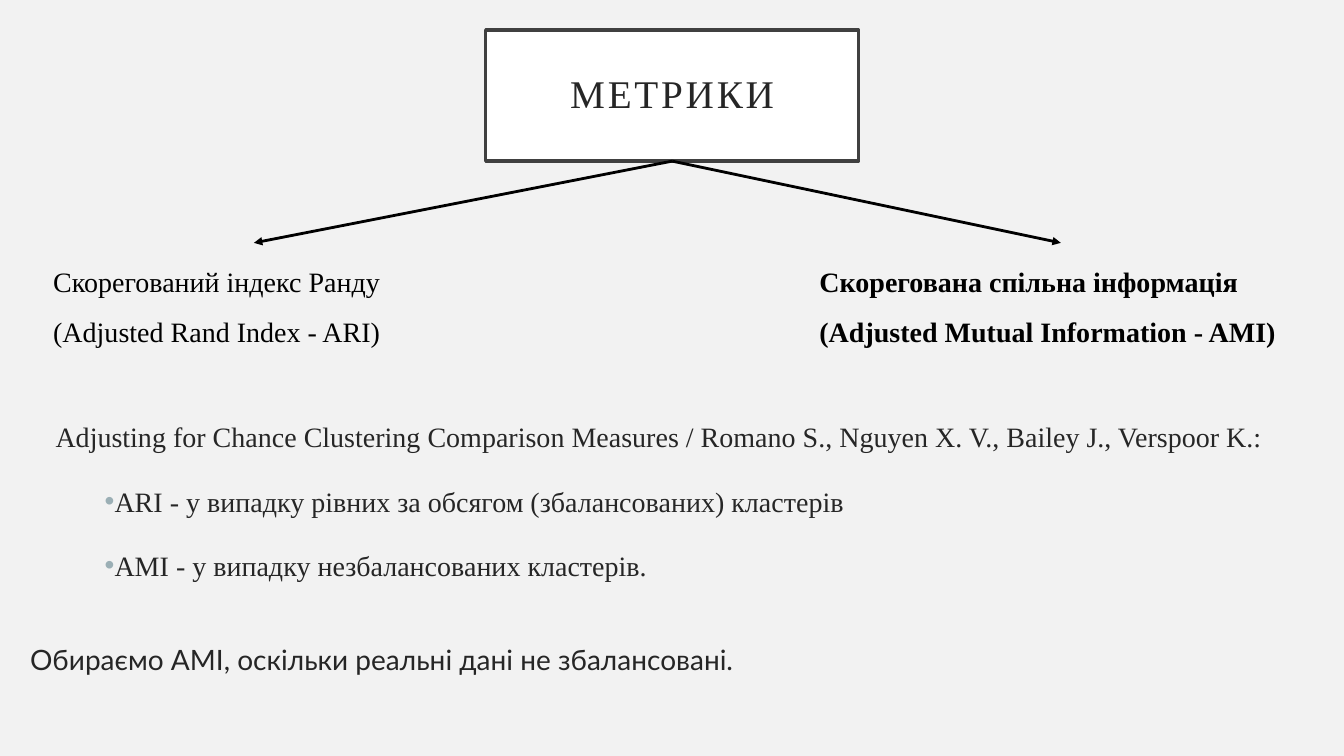
from dataclasses import dataclass

from lxml import etree
from pptx import Presentation
from pptx import util as u
from pptx.dml.color import RGBColor
from pptx.enum import shapes, text
from pptx.oxml.ns import qn


@dataclass(frozen=True)
class Theme:
    background = RGBColor.from_string("F2F2F2")
    panel = RGBColor.from_string("FFFFFF")
    border = RGBColor.from_string("404040")
    ink = RGBColor.from_string("262626")
    black = RGBColor.from_string("000000")
    bullet = "9BAFB5"
    serif = "Times New Roman"
    sans = "Lato"
    title_size = u.Pt(28)
    body_size = u.Pt(20)


theme = Theme()


def style(paragraph, color, size=theme.body_size, face=theme.serif, bold=False):
    """Set the font of a whole paragraph."""
    font = paragraph.font
    font.name, font.size, font.bold = face, size, bold
    font.color.rgb = color


def add_text_area(left, top, width, height):
    frame_shape = slide.shapes.add_textbox(u.Cm(left), u.Cm(top), u.Cm(width), u.Cm(height))
    frame_shape.text_frame.word_wrap = True
    return frame_shape


deck = Presentation()
deck.slide_width, deck.slide_height = u.Cm(33.87), u.Cm(19.05)
slide = deck.slides.add_slide(deck.slide_layouts[6])
slide.background.fill.solid()
slide.background.fill.fore_color.rgb = theme.background

# Title
title = slide.shapes.add_shape(
    shapes.MSO_SHAPE.RECTANGLE, u.Cm(12.24), u.Cm(0.76), u.Cm(9.4), u.Cm(3.3))
title.shadow.inherit = False
title.fill.solid()
title.fill.fore_color.rgb = theme.panel
title.line.color.rgb = theme.border
title.line.width = u.Pt(2.5)
title_frame = title.text_frame
title_frame.word_wrap = True
title_frame.vertical_anchor = text.MSO_ANCHOR.MIDDLE
title_frame.margin_left = title_frame.margin_right = u.Cm(0.51)
title_frame.margin_top = title_frame.margin_bottom = u.Cm(0.51)
heading = title_frame.paragraphs[0]
heading.alignment = text.PP_ALIGN.CENTER
heading.line_spacing = 0.9
style(heading, theme.ink, theme.title_size)
heading_run = heading.add_run()
heading_run.text = "МЕТРИКИ"
heading_run.font._element.set("spc", "200")

# Conclusions: text, first-line indent, space before, bulleted
conclusions = add_text_area(0.51, 10.03, 32.87, 7.62)
statements = [
    ("Adjusting for Chance Clustering Comparison Measures / "
     "Romano S., Nguyen X. V., Bailey J., Verspoor K.:", False),
    ("ARI - у випадку рівних за обсягом (збалансованих) кластерів", True),
    ("AMI - у випадку незбалансованих кластерів.", True),
]
body_frame = conclusions.text_frame
for index, (statement, bulleted) in enumerate(statements):
    paragraph = body_frame.add_paragraph() if index else body_frame.paragraphs[0]
    paragraph.text = statement
    paragraph.alignment = text.PP_ALIGN.JUSTIFY
    paragraph.line_spacing = 1.5
    paragraph.space_before = u.Pt(10)
    style(paragraph, theme.ink)
    properties = paragraph._p.get_or_add_pPr()
    properties.set("marL", str(u.Cm(0.64)))
    properties.set("indent", str(u.Cm(1.24 if bulleted else 0)))
    if bulleted:
        bullet_color = etree.Element(qn("a:buClr"))
        etree.SubElement(bullet_color, qn("a:srgbClr"), val=theme.bullet)
        bullet_font = etree.Element(qn("a:buFont"), typeface="Arial")
        bullet_mark = etree.Element(qn("a:buChar"), char="•")
        font_defaults = properties.find(qn("a:defRPr"))
        for part in (bullet_color, bullet_font, bullet_mark):
            font_defaults.addprevious(part)

choice = body_frame.add_paragraph()
choice.text = "Обираємо AMI, оскільки реальні дані не збалансовані."
choice.space_before = u.Pt(43)
style(choice, theme.ink, face=theme.sans)

# Metrics, each with an arrow from the title
metrics = [
    (1.09, 10.62, False, ["Скорегований індекс Ранду", "(Adjusted Rand Index - ARI)"]),
    (20.4, 12.67, True,
     ["Скорегована спільна інформація (Adjusted Mutual Information - AMI)"]),
]
for left, width, chosen, lines in metrics:
    metric = add_text_area(left, 6.12, width, 2.67)
    metric_frame = metric.text_frame
    metric_frame.auto_size = text.MSO_AUTO_SIZE.SHAPE_TO_FIT_TEXT
    metric_frame.text = "\n".join(lines)
    for paragraph in metric_frame.paragraphs:
        paragraph.line_spacing = 1.5
        style(paragraph, theme.black, bold=chosen)

    arrow = slide.shapes.add_connector(shapes.MSO_CONNECTOR.STRAIGHT, 0, 0, 0, 0)
    arrow.begin_connect(title, 2)
    arrow.end_connect(metric, 0)
    arrow.line.color.rgb = theme.black
    arrow.line.width = u.Pt(2)
    etree.SubElement(arrow.line._get_or_add_ln(), qn("a:tailEnd"), type="triangle")
    etree.SubElement(arrow._element.spPr, qn("a:effectLst"))

deck.save("out.pptx")
